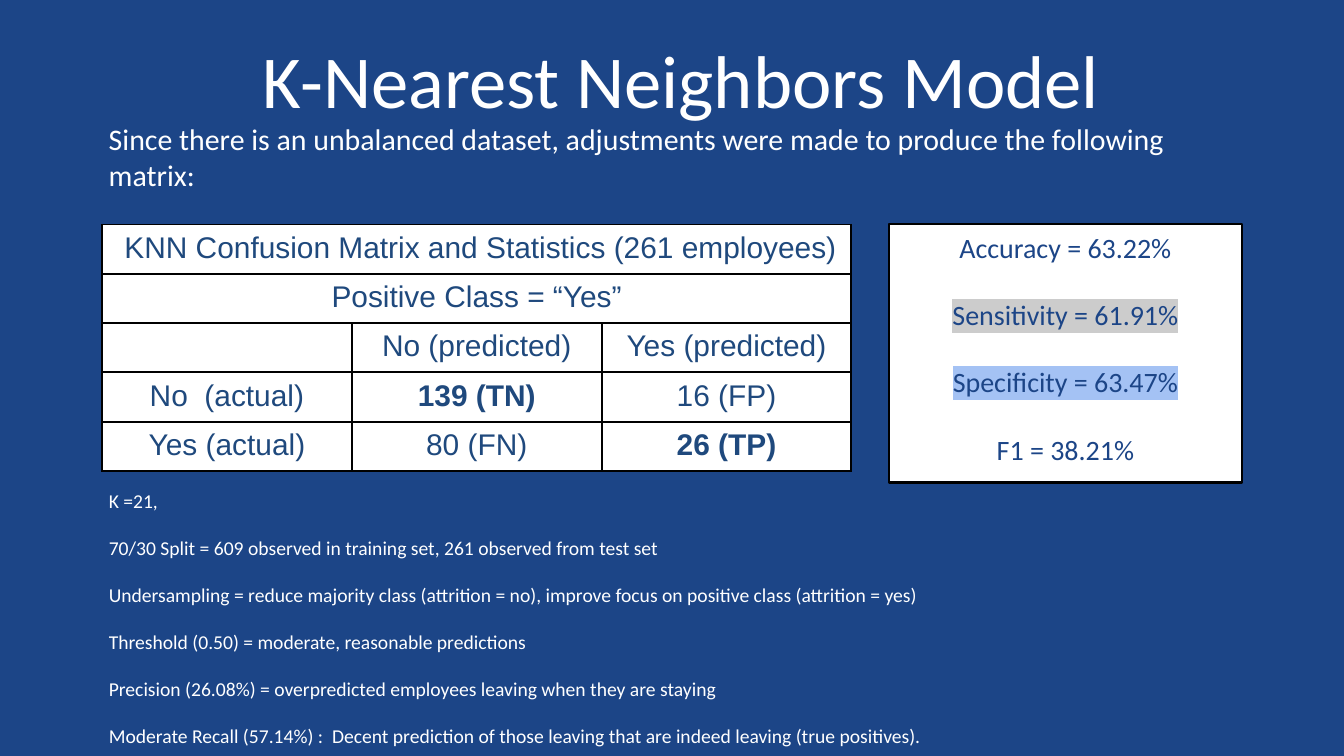
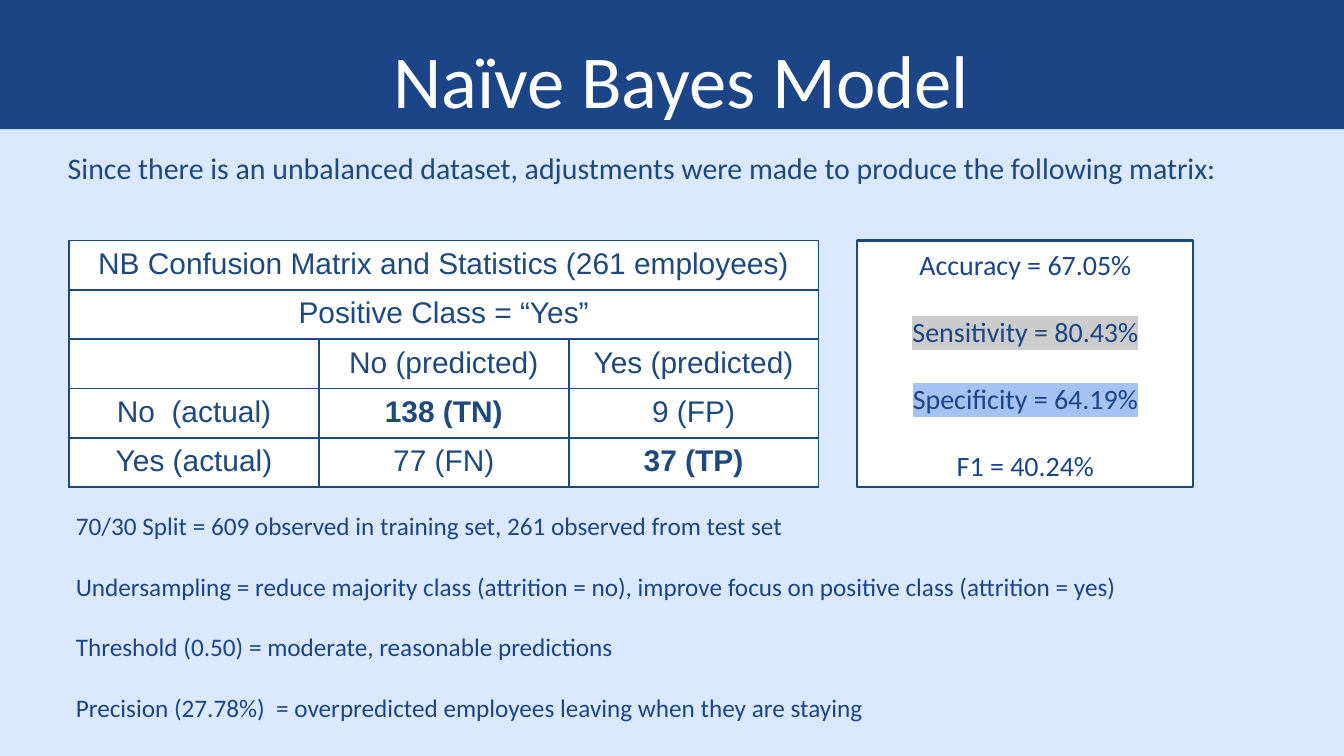
from lxml import etree
from pptx import Presentation
from pptx.dml.color import RGBColor
from pptx.enum.shapes import MSO_SHAPE
from pptx.enum.text import MSO_ANCHOR, PP_ALIGN
from pptx.oxml.ns import qn
from pptx.util import Inches, Pt

SLIDE_WIDTH, SLIDE_HEIGHT = 20, 11.25
NAVY = RGBColor(0x1C, 0x45, 0x87)
SLATE = RGBColor(0x1F, 0x49, 0x7D)
PALE_BLUE = RGBColor(0xDA, 0xE9, 0xFF)
WHITE = RGBColor(0xFF, 0xFF, 0xFF)
BLACK = RGBColor(0x00, 0x00, 0x00)
GRAY = RGBColor(0xCC, 0xCC, 0xCC)
SKY = RGBColor(0xA4, 0xC2, 0xF4)

BODY_FONT, TABLE_FONT = "Calibri", "Arial"
BORDER = Pt(2.25)
BAND_HEIGHT = 1.92
MATRIX_WIDTH, MATRIX_HEIGHT = 11.15, 3.67
LINE_HEIGHT = 1.2  # of the font size

INTRO = ("Since there is an unbalanced dataset, adjustments were made "
         "to produce the following matrix:")
SPLIT = "70/30 Split = 609 observed in training set, 261 observed from test set"
UNDERSAMPLING = ("Undersampling = reduce majority class (attrition = no), "
                 "improve focus on positive class (attrition = yes)")
THRESHOLD = "Threshold (0.50) = moderate, reasonable predictions"


def style(paragraph, size, color, font=BODY_FONT, bold=None):
    for run in paragraph.runs:
        run.font.size = Pt(size)
        run.font.name = font
        run.font.bold = bold
        run.font.color.rgb = color


def set_insets(frame, inset):
    frame.margin_left = frame.margin_right = Inches(inset)
    frame.margin_top = frame.margin_bottom = Inches(inset)


def fill_frame(frame, lines, size, color, align=PP_ALIGN.LEFT):
    """Write one paragraph per line, a full line apart."""
    frame.word_wrap = True
    frame.vertical_anchor = MSO_ANCHOR.TOP
    set_insets(frame, 0.1)
    frame.text = "\n".join(lines)
    for index, paragraph in enumerate(frame.paragraphs):
        paragraph.alignment = align
        if index:
            paragraph.space_before = Pt(round(LINE_HEIGHT * size, 1))
        style(paragraph, size, color)


def add_text(slide, lines, left, top, width, height, size, color):
    box = slide.shapes.add_textbox(
        Inches(left), Inches(top), Inches(width), Inches(height))
    fill_frame(box.text_frame, lines, size, color)


def add_rectangle(slide, left, top, width, height, fill):
    rectangle = slide.shapes.add_shape(
        MSO_SHAPE.RECTANGLE,
        Inches(left), Inches(top), Inches(width), Inches(height))
    rectangle.shadow.inherit = False
    rectangle.fill.solid()
    rectangle.fill.fore_color.rgb = fill
    rectangle.line.fill.background()
    return rectangle


def set_title(slide, text):
    title = slide.shapes.title
    title.left, title.top = Inches(0.43), Inches(-0.03)
    title.width, title.height = Inches(19.42), Inches(1.88)
    frame = title.text_frame
    frame.text = text
    frame.vertical_anchor = MSO_ANCHOR.TOP
    set_insets(frame, 0)
    paragraph = frame.paragraphs[0]
    paragraph.alignment = PP_ALIGN.CENTER
    paragraph.line_spacing = 1.4
    style(paragraph, 80, WHITE)


def add_title_band(slide):
    band = add_rectangle(slide, 0, 0, SLIDE_WIDTH, BAND_HEIGHT, NAVY)
    slide.shapes.title._element.addprevious(band._element)


def highlight(run, color):
    mark = etree.Element(qn("a:highlight"))
    etree.SubElement(mark, qn("a:srgbClr"), val=str(color))
    run.font._element.find(qn("a:solidFill")).addnext(mark)


def add_statistics(slide, values, left, top, width, height, border):
    panel = add_rectangle(slide, left, top, width, height, WHITE)
    panel.line.color.rgb = border
    panel.line.width = BORDER
    names = ("Accuracy", "Sensitivity", "Specificity", "F1")
    lines = [f"{name} = {value}" for name, value in zip(names, values)]
    fill_frame(panel.text_frame, lines, 30, NAVY, PP_ALIGN.CENTER)
    _, sensitivity, specificity, _ = panel.text_frame.paragraphs
    highlight(sensitivity.runs[0], GRAY)
    highlight(specificity.runs[0], SKY)


def set_borders(cell, color):
    properties = cell._tc.get_or_add_tcPr()
    for index, side in enumerate(("a:lnL", "a:lnR", "a:lnT", "a:lnB")):
        line = etree.Element(qn(side), w=str(int(BORDER)))
        fill = etree.SubElement(line, qn("a:solidFill"))
        etree.SubElement(fill, qn("a:srgbClr"), val=str(color))
        properties.insert(index, line)


def add_confusion_matrix(slide, heading, counts, left, top, border):
    """Counts come in the order TN, FP, FN, TP."""
    tn, fp, fn, tp = counts
    rows = (
        (heading, "", ""),
        ("Positive Class = “Yes”", "", ""),
        ("", "No (predicted)", "Yes (predicted)"),
        ("No  (actual)", f"{tn} (TN)", f"{fp} (FP)"),
        ("Yes (actual)", f"{fn} (FN)", f"{tp} (TP)"),
    )
    correct = {(3, 1), (4, 2)}
    matrix = slide.shapes.add_table(
        len(rows), 3, Inches(left), Inches(top),
        Inches(MATRIX_WIDTH), Inches(MATRIX_HEIGHT)).table
    matrix.first_row = matrix.horz_banding = False
    for r, texts in enumerate(rows):
        for c, text in enumerate(texts):
            cell = matrix.cell(r, c)
            cell.fill.solid()
            cell.fill.fore_color.rgb = WHITE
            set_borders(cell, border)
            set_insets(cell, 0.1)
            if text:
                cell.text_frame.text = text
                paragraph = cell.text_frame.paragraphs[0]
                paragraph.alignment = PP_ALIGN.CENTER
                style(paragraph, 32, SLATE, TABLE_FONT, (r, c) in correct)
    for r in (0, 1):
        matrix.cell(r, 0).merge(matrix.cell(r, 2))


def add_model_slide(deck, title, background):
    slide = deck.slides.add_slide(deck.slide_layouts[5])
    slide.background.fill.solid()
    slide.background.fill.fore_color.rgb = background
    set_title(slide, title)
    return slide


def add_nearest_neighbors(deck):
    slide = add_model_slide(deck, "K-Nearest Neighbors Model", NAVY)
    add_text(slide, [INTRO], 1.52, 1.7, 16.96, 1.4, 32, WHITE)
    notes = [
        "K =21,", SPLIT, UNDERSAMPLING, THRESHOLD,
        "Precision (26.08%) = overpredicted employees leaving "
        "when they are staying",
        "Moderate Recall (57.14%) :  Decent prediction of those leaving "
        "that are indeed leaving (true positives).",
    ]
    add_text(slide, notes, 1.52, 7.18, 17.55, SLIDE_HEIGHT - 7.18, 21, WHITE)
    add_statistics(slide, ("63.22%", "61.91%", "63.47%", "38.21%"),
                   13.23, 3.33, 5.25, 3.85, BLACK)
    add_confusion_matrix(
        slide, " KNN Confusion Matrix and Statistics (261 employees)",
        (139, 16, 80, 26), 1.52, 3.34, BLACK)


def add_naive_bayes(deck):
    slide = add_model_slide(deck, "Naïve Bayes Model", PALE_BLUE)
    add_title_band(slide)
    add_text(slide, [INTRO], 0.91, 2.13, 17.96, 1.2, 32, SLATE)
    notes = [
        SPLIT, UNDERSAMPLING, THRESHOLD,
        "Precision (27.78%)  = overpredicted employees leaving "
        "when they are staying",
    ]
    add_text(slide, notes, 1.03, 7.5, 18.18, SLIDE_HEIGHT - 7.5, 27, NAVY)
    add_statistics(slide, ("67.05%", "80.43%", "64.19%", "40.24%"),
                   12.76, 3.58, 5, MATRIX_HEIGHT, SLATE)
    add_confusion_matrix(
        slide, "NB Confusion Matrix and Statistics (261 employees)",
        (138, 9, 77, 37), 1.03, 3.58, SLATE)


def main():
    deck = Presentation()
    deck.slide_width = Inches(SLIDE_WIDTH)
    deck.slide_height = Inches(SLIDE_HEIGHT)
    add_nearest_neighbors(deck)
    add_naive_bayes(deck)
    deck.save("out.pptx")


if __name__ == "__main__":
    main()
